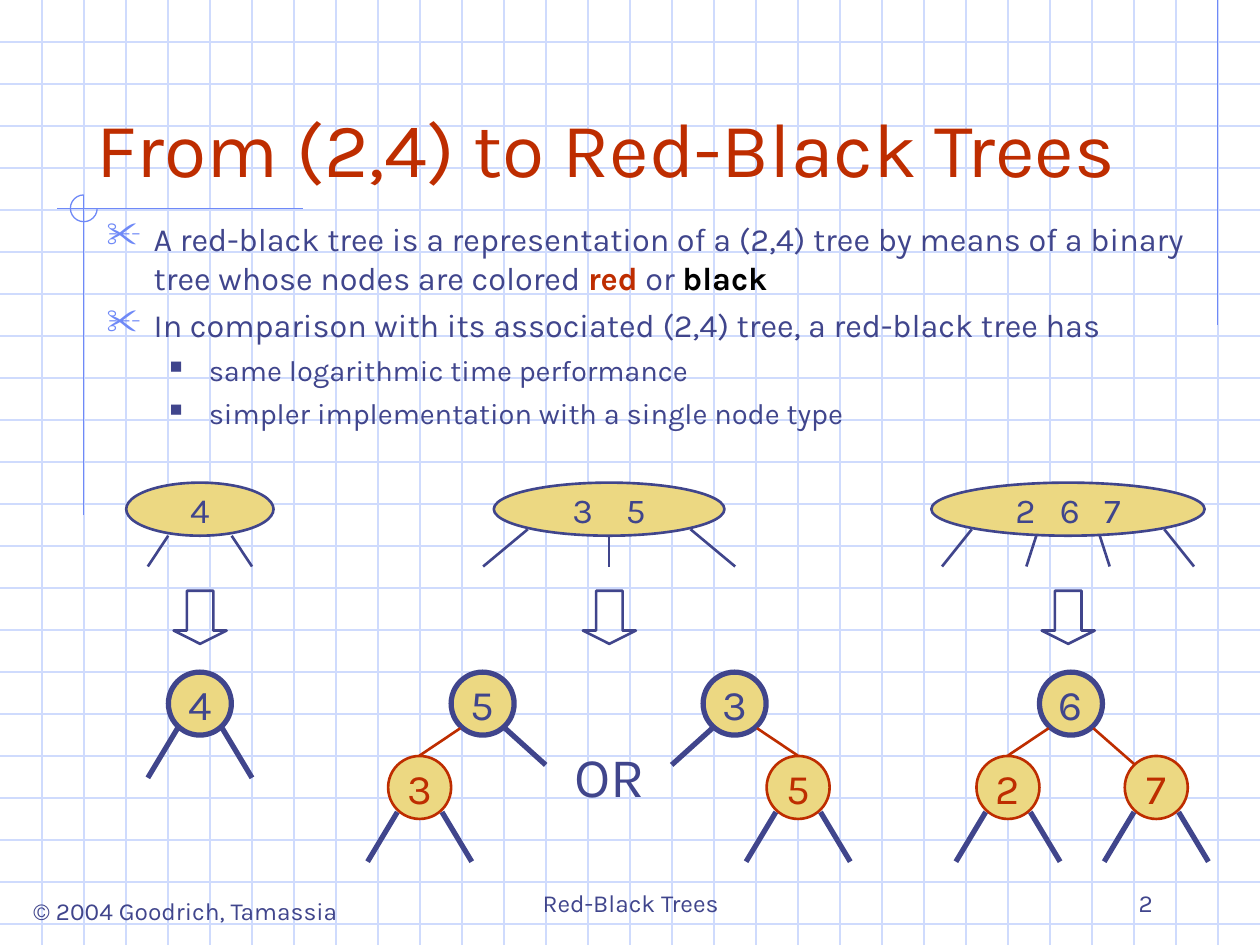
from lxml.etree import SubElement
from pptx import Presentation
from pptx.dml.color import RGBColor
from pptx.enum.shapes import MSO_CONNECTOR, MSO_SHAPE
from pptx.enum.text import MSO_ANCHOR, PP_ALIGN
from pptx.oxml.ns import qn
from pptx.util import Cm, Pt

WIDTH, HEIGHT = 25.4, 19.05
NAVY, RED, BLACK = "40458C", "BE2D00", "000000"
GOLD, BLUE, PALE = "ECD882", "6F89F7", "CFDBFD"
PEN = {NAVY: 3, RED: 1.5}
LEVEL_TOPS = (13.55, 15.24)
LEAVES = [(-1.05, 2.13, NAVY), (1.05, 2.13, NAVY)]

BODY = [
    (0, [("A red-black tree is a representation of a (2,4) tree by means of a "
          "binary tree whose nodes are colored ", {}),
         ("red", {"color": RED, "bold": True}),
         (" or ", {}),
         ("black", {"color": BLACK, "bold": True})]),
    (0, [("In comparison with its associated (2,4) tree, a red-black tree has", {})]),
    (1, [("same logarithmic time performance", {})]),
    (1, [("simpler implementation with a single node type", {})]),
]
LEVELS = [
    {"size": 18.5, "before": 5, "left": 0.95, "hang": 0.95,
     "char": "✂", "color": BLUE, "percent": 110},
    {"size": 16.6, "before": 4.5, "left": 2.06, "hang": 0.79,
     "char": "■", "color": NAVY, "percent": 60},
]
MULTI_NODES = [
    ("4", 4.03, 2.97, 0, [(0.64, 10.8, 1.05)]),
    ("35", 12.28, 4.65, 14, [(0, 10.8, 0), (1.64, 10.67, 2.54)]),
    ("267", 21.53, 5.51, 9, [(1.94, 10.67, 2.54), (0.64, 10.8, 0.84)]),
]
BINARY_NODES = [
    ("4", 4.03, 0, LEAVES),
    ("5", 9.73, 0, [(-1.27, 1.68, RED), (1.27, 1.87, NAVY)]),
    ("3", 8.46, 1, LEAVES),
    ("3", 14.81, 0, [(-1.27, 1.87, NAVY), (1.27, 1.68, RED)]),
    ("5", 16.09, 1, LEAVES),
    ("6", 21.59, 0, [(-1.27, 1.68, RED), (1.27, 1.85, RED)]),
    ("2", 20.32, 1, LEAVES),
    ("7", 23.31, 1, LEAVES),
]


def rgb(value):
    """Return a colour from a hex string."""
    return RGBColor.from_string(value)


def add_run(p, text, size, color=NAVY, bold=False, spacing=0):
    """Append a run of formatted text to a paragraph."""
    r = p.add_run()
    r.text = text
    for name, value in {"name": "Karla", "size": Pt(size), "bold": bold}.items():
        setattr(r.font, name, value)
    r.font.color.rgb = rgb(color)
    if spacing:
        r.font._element.set("spc", str(spacing * 100))


def add_line(s, x1, y1, x2, y2, color, width):
    """Draw a straight line without a shadow."""
    line = s.shapes.add_connector(MSO_CONNECTOR.STRAIGHT, Cm(x1), Cm(y1), Cm(x2), Cm(y2))
    line.line.color.rgb = rgb(color)
    line.line.width = Pt(width)
    SubElement(line._element.spPr, qn("a:effectLst"))


def add_preset(s, kind, left, top, width, height, color, pen, fill=None):
    """Draw a preset shape with an outline and an optional fill."""
    sp = s.shapes.add_shape(kind, Cm(left), Cm(top), Cm(width), Cm(height))
    sp.shadow.inherit = False
    sp.line.color.rgb = rgb(color)
    sp.line.width = Pt(pen)
    if fill:
        sp.fill.solid()
        sp.fill.fore_color.rgb = rgb(fill)
    else:
        sp.fill.background()
    return sp


def add_node(s, keys, x, top, width, height, size, color, pen, gap=0):
    """Draw an elliptical tree node centred on x with its keys."""
    sp = add_preset(s, MSO_SHAPE.OVAL, x - width / 2, top, width, height, color, pen, GOLD)
    tf = sp.text_frame
    tf.word_wrap = False
    tf.vertical_anchor = MSO_ANCHOR.MIDDLE
    p = tf.paragraphs[0]
    p.alignment = PP_ALIGN.CENTER
    for i, key in enumerate(keys):
        if i:
            add_run(p, " ", size, color, spacing=gap)
        add_run(p, key, size, color)


def add_label(s, text, box, size, align, anchor=MSO_ANCHOR.TOP, wrap=False):
    """Add a one-line text box."""
    tf = s.shapes.add_textbox(*map(Cm, box)).text_frame
    tf.word_wrap = wrap
    tf.vertical_anchor = anchor
    tf.paragraphs[0].alignment = align
    add_run(tf.paragraphs[0], text, size)


def add_bullet(p, left, hang, char, color, percent):
    """Give a paragraph a hanging coloured bullet."""
    pPr = p._p.get_or_add_pPr()
    pPr.set("marL", str(Cm(left)))
    pPr.set("indent", str(-Cm(hang)))
    SubElement(SubElement(pPr, qn("a:buClr")), qn("a:srgbClr"), val=color)
    SubElement(pPr, qn("a:buSzPct"), val=str(percent * 1000))
    SubElement(pPr, qn("a:buChar"), char=char)


def add_background(s):
    """Draw the graph-paper grid and the margin ornament."""
    step = WIDTH / 30
    for i in range(1, 23):
        add_line(s, 0, i * step, WIDTH, i * step, PALE, 0.74)
    for i in range(1, 30):
        add_line(s, i * step, 0, i * step, HEIGHT, PALE, 0.74)
    for ends in [(24.55, 0, 24.55, 6.55), (6.1, 4.21, 1.14, 4.21), (1.69, 3.93, 1.69, 10.39)]:
        add_line(s, *ends, BLUE, 0.74)
    arc = add_preset(s, MSO_SHAPE.ARC, 1.42, 3.93, 0.54, 0.54, BLUE, 0.74)
    arc.adjustments[0] = 0
    arc.adjustments[1] = 162


def add_title(s, text):
    """Place and format the title above the background."""
    sp = s.shapes.title
    s.shapes._spTree.append(sp._element)
    box = {"left": 1.69, "top": 0.85, "width": 22.65, "height": 3.17}
    for name, value in box.items():
        setattr(sp, name, Cm(value))
    tf = sp.text_frame
    tf.vertical_anchor = MSO_ANCHOR.BOTTOM
    tf.paragraphs[0].alignment = PP_ALIGN.LEFT
    add_run(tf.paragraphs[0], text, 44, RED)


def add_body(s):
    """Add the two-level bulleted text."""
    tf = s.shapes.add_textbox(Cm(1.9), Cm(4.29), Cm(22.44), Cm(5.03)).text_frame
    tf.word_wrap = True
    for i, (level, runs) in enumerate(BODY):
        p = tf.add_paragraph() if i else tf.paragraphs[0]
        style = dict(LEVELS[level])
        size = style.pop("size")
        p.level = level
        p.space_before = Pt(style.pop("before"))
        add_bullet(p, **style)
        for text, look in runs:
            add_run(p, text, size, **look)


def add_multi_node(s, keys, x, width, gap, legs):
    """Draw a (2,4) node, its mirrored legs and the arrow below."""
    add_node(s, keys, x, 9.73, width, 1.07, 20, NAVY, 1.5, gap)
    for start, y, end in legs:
        for side in (-1, 1) if start else (1,):
            add_line(s, x + side * start, y, x + side * end, 11.42, NAVY, 1.5)
    add_preset(s, MSO_SHAPE.DOWN_ARROW, x - 0.53, 11.91, 1.07, 1.07, NAVY, 1.5).adjustments[1] = 0.25


def add_binary_node(s, key, x, level, edges):
    """Draw a red or black node and the edges leaving it."""
    top, color = LEVEL_TOPS[level], (NAVY, RED)[level]
    add_node(s, key, x, top, 1.27, 1.27, 24, color, PEN[color])
    for dx, dy, pen in edges:
        start = 0.45 if dx > 0 else -0.45
        add_line(s, x + start, top + 1.13, x + dx, top + dy, pen, PEN[pen])


def main():
    """Build the slide and save it."""
    prs = Presentation()
    prs.slide_width, prs.slide_height = Cm(WIDTH), Cm(HEIGHT)
    s = prs.slides.add_slide(prs.slide_layouts[5])
    add_background(s)
    add_label(s, "© 2004 Goodrich, Tamassia", (0.3, 17.93, 6.88, 0.86), 14, PP_ALIGN.CENTER)
    add_label(s, "Red-Black Trees", (8.69, 17.35, 8.05, 1.27), 14,
              PP_ALIGN.CENTER, MSO_ANCHOR.BOTTOM, True)
    add_label(s, "2", (18.21, 17.35, 5.28, 1.27), 14, PP_ALIGN.RIGHT, MSO_ANCHOR.BOTTOM, True)
    add_title(s, "From (2,4) to Red-Black Trees")
    add_body(s)
    for node in MULTI_NODES:
        add_multi_node(s, *node)
    for node in BINARY_NODES:
        add_binary_node(s, *node)
    add_label(s, "OR", (11.25, 14.83, 2.08, 1.63), 32, PP_ALIGN.CENTER)
    prs.save("out.pptx")


main()
